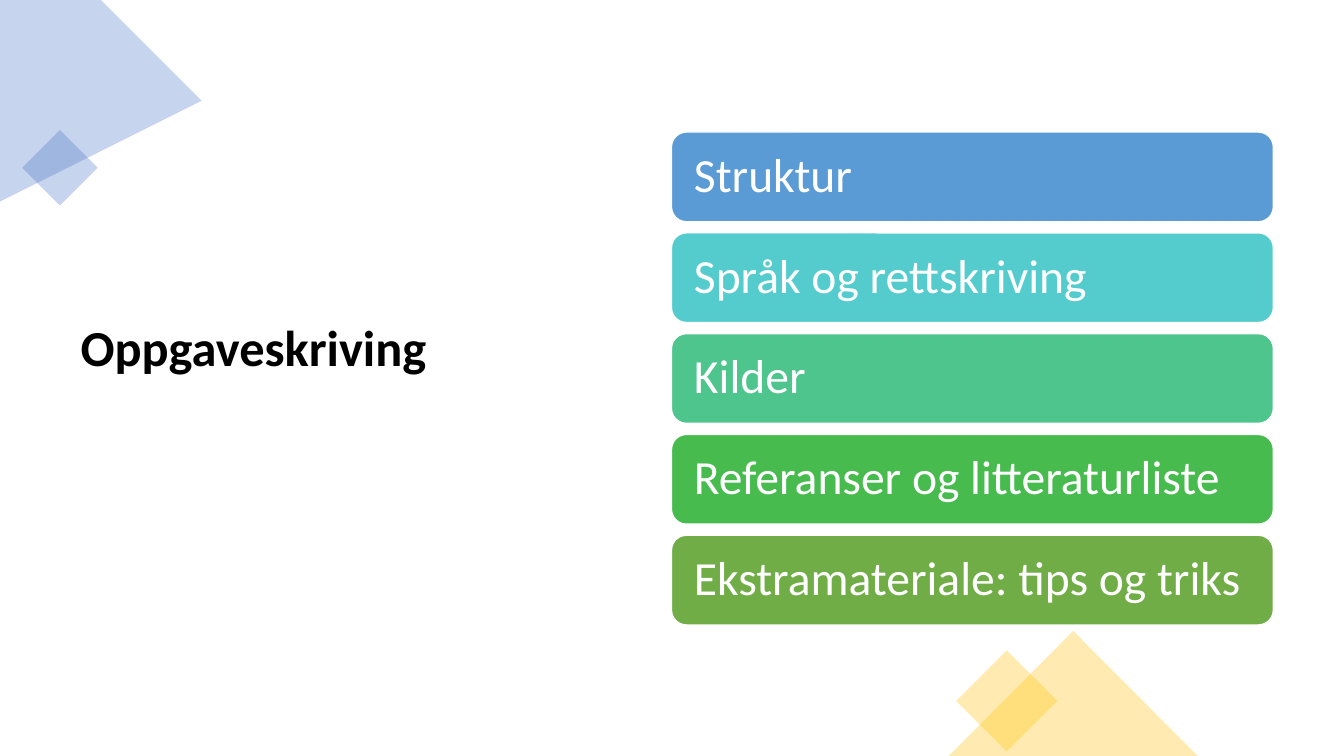
from dataclasses import dataclass

from pptx import Presentation
from pptx import util as u
from pptx.dml.color import RGBColor
from pptx.enum import shapes, text
from pptx.oxml.ns import qn
from lxml import etree


@dataclass(frozen=True)
class Theme:
    font: str = "Calibri"
    head: int = 36
    body: int = 34
    ink: str = "000000"
    paper: str = "FFFFFF"
    blue: str = "4472C4"
    gold: str = "FFC000"
    bars: tuple = ("5B9BD5", "54CCCD", "4DC58D", "48BB4F", "70AD47")
    alpha: int = 30


def write(shape, words, size, color, font, bold=False, pad=(0.1, 0.05, 0.1, 0.05)):
    """Set one left-aligned, vertically centred line of text."""
    frame = shape.text_frame
    frame.word_wrap = True
    frame.vertical_anchor = text.MSO_ANCHOR.MIDDLE
    (frame.margin_left, frame.margin_top,
     frame.margin_right, frame.margin_bottom) = map(u.Inches, pad)
    para = frame.paragraphs[0]
    para.alignment = text.PP_ALIGN.LEFT
    para.line_spacing = 0.9
    run = para.add_run()
    run.text = words
    run.font.name = font
    run.font.size = u.Pt(size)
    run.font.bold = bold
    run.font.color.rgb = RGBColor.from_string(color)


class Deck:
    def __init__(self, theme):
        self.theme = theme
        self.prs = Presentation()
        self.prs.slide_width = u.Inches(13.33)
        self.prs.slide_height = u.Inches(7.5)
        self.slide = self.prs.slides.add_slide(self.prs.slide_layouts[6])

    def paint(self, shape, color, alpha=None):
        shape.shadow.inherit = False
        shape.line.fill.background()
        shape.fill.solid()
        shape.fill.fore_color.rgb = RGBColor.from_string(color)
        if alpha is not None:
            tone = shape.fill._xPr.find(".//" + qn("a:srgbClr"))
            etree.SubElement(tone, qn("a:alpha")).set("val", str(alpha * 1000))

    def shape(self, kind, box, color, alpha=None, turn=0):
        item = self.slide.shapes.add_shape(kind, *map(u.Inches, box))
        item.rotation = turn
        self.paint(item, color, alpha)
        return item

    def outline(self, points, color, alpha):
        pen = self.slide.shapes.build_freeform(*points[0], scale=u.Inches(1))
        pen.add_line_segments(points[1:], close=True)
        self.paint(pen.convert_to_shape(), color, alpha)

    def title(self, words, box, pad):
        item = self.slide.shapes.add_textbox(*map(u.Inches, box))
        write(item, words, self.theme.head, self.theme.ink, self.theme.font,
              bold=True, pad=pad)

    def bar(self, words, box, color):
        item = self.shape(shapes.MSO_SHAPE.ROUNDED_RECTANGLE, box, color)
        item.line.color.rgb = RGBColor.from_string(self.theme.paper)
        item.line.width = u.Pt(1)
        write(item, words, self.theme.body, self.theme.paper, self.theme.font,
              pad=(0.18, 0.14, 0.18, 0.14))


def main():
    theme = Theme()
    deck = Deck(theme)
    kinds = shapes.MSO_SHAPE

    # Title, raised by a deeper bottom margin
    deck.title("Oppgaveskriving", (0.7, 0.7, 5.25, 6.09), (0.1, 0.05, 0.1, 0.6))

    # Blue corner, cut off at the slide edges
    deck.outline([(0, 0), (0.99, 0), (1.59, 0.59), (0.14, 2.04), (0, 1.91)],
                 theme.blue, theme.alpha)
    deck.shape(kinds.RECTANGLE, (0.33, 1.4, 0.53, 0.53),
               theme.blue, theme.alpha, turn=45)

    # Gold peak at the bottom
    deck.shape(kinds.RECTANGLE, (9.63, 6.6, 0.71, 0.71),
               theme.gold, theme.alpha, turn=45)
    deck.shape(kinds.ISOSCELES_TRIANGLE, (9.41, 6.26, 2.47, 1.24),
               theme.gold, theme.alpha)

    # Topic bars
    topics = ("Struktur", "Språk og rettskriving", "Kilder",
              "Referanser og litteraturliste", "Ekstramateriale: tips og triks")
    top, step = 1.31, 1.0
    for row, (topic, color) in enumerate(zip(topics, theme.bars)):
        deck.bar(topic, (6.66, top + row * step, 5.97, 0.89), color)

    deck.prs.save("out.pptx")


if __name__ == "__main__":
    main()
